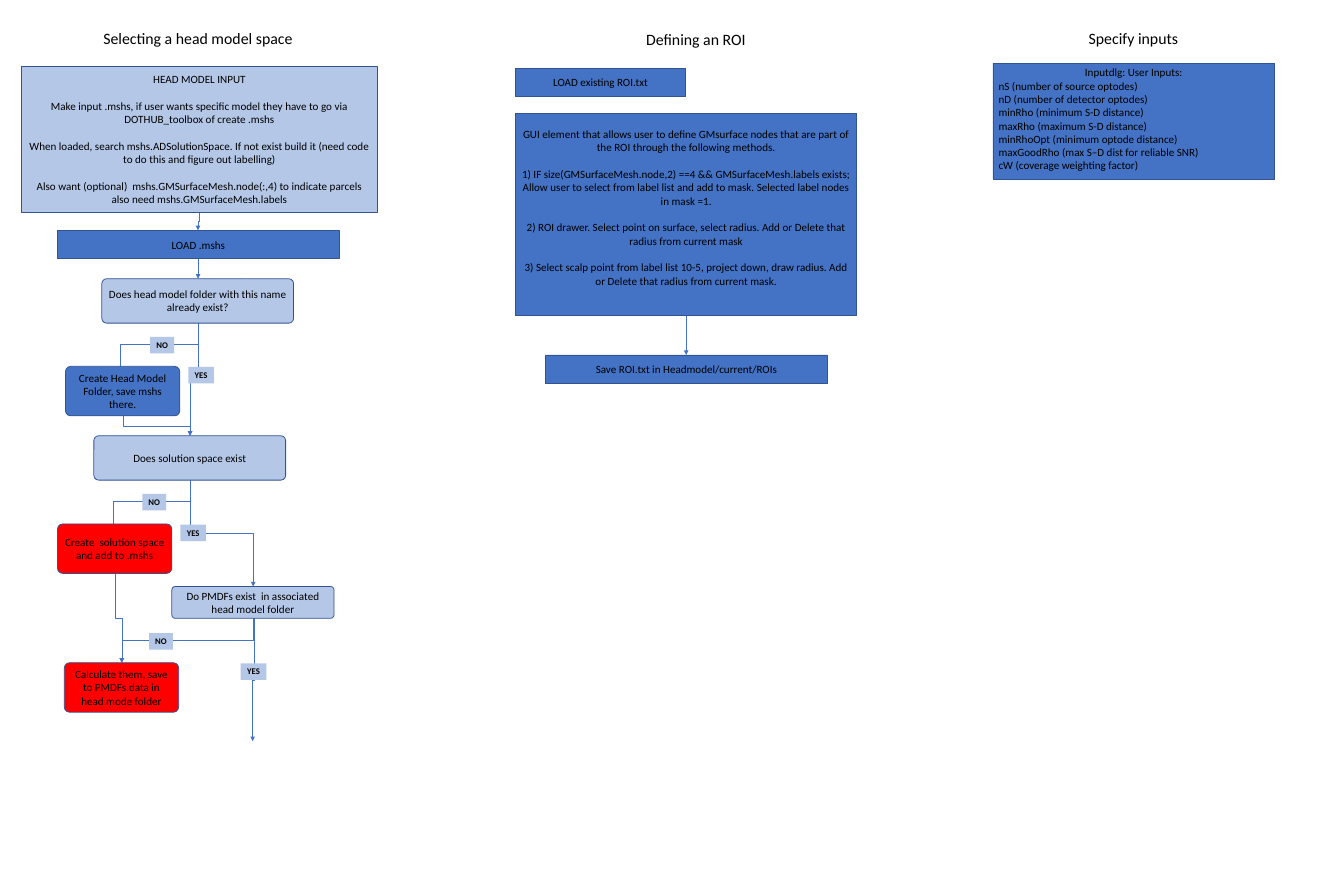
from lxml import etree
from pptx import Presentation
from pptx.dml.color import RGBColor
from pptx.enum import shapes, text
from pptx.oxml.ns import qn
from pptx.util import Inches, Pt

LIGHT, BLUE, RED, EDGE, BLACK = "B4C7E7", "4472C4", "FF0000", "325491", "000000"
RECT, ROUND = shapes.MSO_SHAPE.RECTANGLE, shapes.MSO_SHAPE.ROUNDED_RECTANGLE
CENTER, LEFT = text.PP_ALIGN.CENTER, text.PP_ALIGN.LEFT
TOP, MIDDLE = text.MSO_ANCHOR.TOP, text.MSO_ANCHOR.MIDDLE

# Headings: left, top, wording
headings = [
    (0.48, 0.45, "Selecting a head model space"),
    (9.23, 0.48, "Defining an ROI"),
    (16.92, 0.45, "Specify inputs"),
]

# Long texts: groups of lines, one empty line's height between groups
head_model = [
    ["HEAD MODEL INPUT"],
    ["Make input .mshs, if user wants specific model they have to go via "
     "DOTHUB_toolbox of create .mshs"],
    ["When loaded, search mshs.ADSolutionSpace. If not exist build it "
     "(need code to do this and figure out labelling)"],
    ["Also want (optional)  mshs.GMSurfaceMesh.node(:,4) to indicate parcels",
     "also need mshs.GMSurfaceMesh.labels"],
]
roi_methods = [
    ["GUI element that allows user to define GMsurface nodes that are part of "
     "the ROI through the following methods."],
    ["1) IF size(GMSurfaceMesh.node,2) ==4 && GMSurfaceMesh.labels exists;",
     "Allow user to select from label list and add to mask. "
     "Selected label nodes in mask =1."],
    ["2) ROI drawer. Select point on surface, select radius. "
     "Add or Delete that radius from current mask"],
    ["3) Select scalp point from label list 10-5, project down, draw radius. "
     "Add or Delete that radius from current mask."],
]
user_inputs = [[
    "Inputdlg: User Inputs:",
    "nS (number of source optodes)",
    "nD (number of detector optodes)",
    "minRho (minimum S-D distance)",
    "maxRho (maximum S-D distance)",
    "minRhoOpt (minimum optode distance)",
    "maxGoodRho (max S–D dist for reliable SNR)",
    "cW (coverage weighting factor)",
]]

# Boxes: left, top, width, height, kind, fill, text
BAR, QUESTION, ACTION = (4.95, 0.5), (3.37, 0.78), (2.01, 0.87)
boxes = [
    (0.38, 1.17, 6.25, 2.56, RECT, LIGHT, head_model),
    (1.01, 4.05, *BAR, RECT, BLUE, [["LOAD .mshs"]]),
    (1.79, 4.9, *QUESTION, ROUND, LIGHT,
     [["Does head model folder with this name already exist?"]]),
    (1.15, 6.44, *ACTION, ROUND, BLUE,
     [["Create Head Model Folder, save mshs there."]]),
    (1.65, 7.66, *QUESTION, ROUND, LIGHT, [["Does solution space exist"]]),
    (1.01, 9.21, *ACTION, ROUND, RED,
     [["Create  solution space and add to .mshs"]]),
    (3.02, 10.31, 2.85, 0.56, ROUND, LIGHT,
     [["Do PMDFs exist  in associated head model folder"]]),
    (1.13, 11.65, *ACTION, ROUND, RED,
     [["Calculate them, save to PMDFs.data in head mode folder"]]),
    (9.06, 1.2, 2.99, 0.5, RECT, BLUE, [["LOAD existing ROI.txt"]]),
    (9.06, 1.99, 6, 3.55, RECT, BLUE, roi_methods),
    (9.59, 6.24, *BAR, RECT, BLUE, [["Save ROI.txt in Headmodel/current/ROIs"]]),
    (17.45, 1.11, 4.95, 2.04, RECT, BLUE, user_inputs),
]

# Answers on the branches: left and top
label_widths = {"NO": 0.42, "YES": 0.45}
answers = {
    "NO": [(2.64, 5.92), (2.5, 8.68), (2.62, 11.13)],
    "YES": [(3.31, 6.45), (3.17, 9.22), (4.23, 11.66)],
}

# Arrows: from x, y, to x, y, share of the height where the bend lies
arrows = [
    (3.5, 3.73, 3.48, 4.05, 0.5),
    (3.48, 4.55, 3.48, 4.9, 0.5),
    (3.48, 5.68, 2.12, 7.07, 0.266),
    (3.48, 5.68, 3.34, 7.66, 0.5),
    (2.16, 7.32, 3.34, 7.66, 0.5),
    (3.34, 8.44, 1.99, 9.84, 0.266),
    (3.34, 8.44, 4.45, 10.31, 0.5),
    (2.02, 10.08, 2.14, 11.65, 0.5),
    (4.45, 10.87, 2.14, 11.65, 0.5),
    (4.46, 10.87, 4.44, 13.03, 0.5),
    (12.06, 5.53, 12.06, 6.24, 0.5),
]

prs = Presentation()
prs.slide_width, prs.slide_height = Inches(23.62), Inches(15.75)
slide = prs.slides.add_slide(prs.slide_layouts[6])


def color(target, value):
    target.rgb = RGBColor.from_string(value)


def write(sp, groups, size=14, bold=False, wrap=True, anchor=MIDDLE):
    tf = sp.text_frame
    tf.word_wrap, tf.vertical_anchor = wrap, anchor
    lines = [(line, g > 0 and i == 0)
             for g, group in enumerate(groups) for i, line in enumerate(group)]
    for n, (line, gap) in enumerate(lines):
        p = tf.add_paragraph() if n else tf.paragraphs[0]
        p.alignment = CENTER
        if gap:
            p.space_before = Pt(size * 1.22)
        r = p.add_run()
        r.text = line
        for key, value in {"name": "Calibri", "size": Pt(size), "bold": bold}.items():
            setattr(r.font, key, value)
        color(r.font.color, BLACK)
    return tf


def add_box(x, y, w, h, kind, fill, line=EDGE):
    sp = slide.shapes.add_shape(kind, *map(Inches, (x, y, w, h)))
    sp.shadow.inherit = False
    sp.fill.solid()
    color(sp.fill.fore_color, fill)
    if line:
        color(sp.line.color, line)
        sp.line.width = Pt(1)
    else:
        sp.line.fill.background()
    if kind == ROUND:
        sp.adjustments[0] = 0.108
    return sp


def add_arrow(x1, y1, x2, y2, bend):
    if x1 == x2:
        c = slide.shapes.add_connector(
            shapes.MSO_CONNECTOR.STRAIGHT, *map(Inches, (x1, y1, x2, y2)))
    else:
        # A bent connector leaves sideways, so it is turned to leave downwards
        half_w, half_h = (y2 - y1) / 2, abs(x2 - x1) / 2
        cx, cy = (x1 + x2) / 2, (y1 + y2) / 2
        turn = 270 if x2 > x1 else 90
        side = half_w if x2 > x1 else -half_w
        c = slide.shapes.add_connector(
            shapes.MSO_CONNECTOR.ELBOW,
            *map(Inches, (cx + side, cy - half_h, cx - side, cy + half_h)))
        pr = c._element.spPr
        pr.find(qn("a:xfrm")).set("rot", str(turn * 60000))
        guides = pr.find(qn("a:prstGeom")).find(qn("a:avLst"))
        etree.SubElement(guides, qn("a:gd"), name="adj1",
                         fmla=f"val {round(bend * 100000)}")
    color(c.line.color, BLUE)
    c.line.width = Pt(0.5)
    etree.SubElement(c.line._get_or_add_ln(), qn("a:tailEnd"), type="triangle")
    etree.SubElement(c._element.spPr, qn("a:effectLst"))


# Arrows lie behind the boxes
for arrow in arrows:
    add_arrow(*arrow)

# Boxes
for *place, groups in boxes:
    anchor = TOP if groups is user_inputs else MIDDLE
    tf = write(add_box(*place), groups, anchor=anchor)
    if groups is user_inputs:
        for p in tf.paragraphs[1:]:
            p.alignment = LEFT
    elif groups is roi_methods:
        tf.margin_bottom = Inches(0.29)

# Answers
for answer, places in answers.items():
    for x, y in places:
        sp = add_box(x, y, label_widths[answer], 0.29, RECT, LIGHT, line=None)
        write(sp, [[answer]], size=11, bold=True, wrap=False, anchor=TOP)

# Headings
for x, y, heading in headings:
    sp = slide.shapes.add_textbox(*map(Inches, (x, y, 6, 0.44)))
    write(sp, [[heading]], size=20, anchor=TOP)

prs.save("out.pptx")
